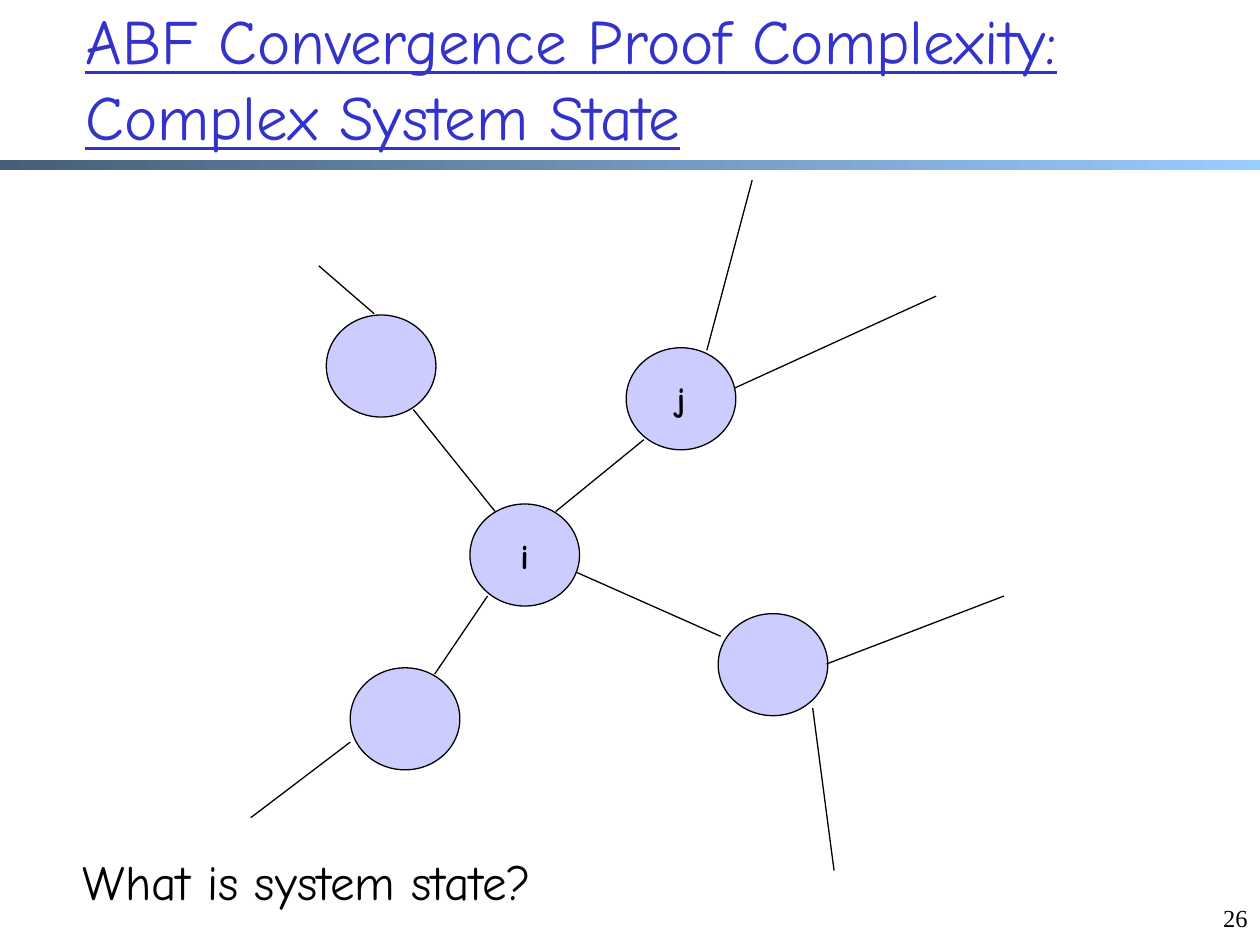
from dataclasses import dataclass

from lxml.etree import SubElement
from pptx import Presentation
from pptx.dml.color import RGBColor as Rgb
from pptx.enum.shapes import MSO_CONNECTOR as Conn, MSO_SHAPE as Shape
from pptx.enum.text import MSO_ANCHOR as Anchor, PP_ALIGN as Align
from pptx.oxml.ns import qn
from pptx.util import Inches, Pt


@dataclass(frozen=True)
class Theme:
    ink: Rgb = Rgb.from_string("000000")
    title: Rgb = Rgb.from_string("3333CC")
    node: Rgb = Rgb.from_string("CCCCFF")
    dark: Rgb = Rgb.from_string("465F77")
    light: Rgb = Rgb.from_string("99CCFF")
    font: str = "Comic Neue"
    serif: str = "Times New Roman"
    head: int = 36
    body: int = 28
    label: int = 20
    small: int = 14
    line: float = 0.75


@dataclass(frozen=True)
class Node:
    left: float
    top: float
    label: str = ""


@dataclass(frozen=True)
class Link:
    x1: float
    y1: float
    x2: float
    y2: float


THEME = Theme()
NODE_W, NODE_H = 0.87, 0.81

NODES = [
    Node(3.73, 4.0, "i"),
    Node(4.97, 2.76, "j"),
    Node(5.7, 4.87),
    Node(2.78, 5.3),
    Node(2.59, 2.5),
]

INNER = [  # from node i to its neighbours
    Link(4.41, 4.06, 5.11, 3.49),
    Link(3.93, 4.06, 3.28, 3.25),
    Link(3.87, 4.73, 3.45, 5.35),
    Link(4.57, 4.54, 5.72, 5.05),
]

OUTER = [  # from the neighbours to the rest of the network
    Link(5.61, 2.78, 5.97, 1.43),
    Link(5.83, 3.08, 7.43, 2.35),
    Link(2.97, 2.49, 2.53, 2.11),
    Link(2.78, 5.89, 1.99, 6.49),
    Link(6.45, 5.62, 6.62, 6.91),
    Link(6.56, 5.27, 7.97, 4.73),
]


def write(shape, text: str, *, size: int, color: Rgb = THEME.ink,
          font: str = THEME.font, bold: bool = False, under: bool = False,
          align: Align = Align.LEFT, anchor: Anchor = Anchor.TOP,
          wrap: bool = True) -> None:
    frame = shape.text_frame
    frame.word_wrap = wrap
    frame.vertical_anchor = anchor
    para = frame.paragraphs[0]
    para.alignment = align
    run = para.add_run()
    run.text = text
    run.font.name = font
    run.font.size = Pt(size)
    run.font.bold = bold
    run.font.underline = under
    run.font.color.rgb = color


def add_box(slide, left: float, top: float, width: float, height: float):
    return slide.shapes.add_textbox(
        Inches(left), Inches(top), Inches(width), Inches(height))


def draw_rule(slide) -> None:
    """Draw the gradient bar under the title."""
    bar = slide.shapes.add_shape(
        Shape.RECTANGLE, 0, Inches(1.27), Inches(10), Inches(0.08))
    bar.shadow.inherit = False
    bar.line.fill.background()
    bar.fill.gradient()
    bar.fill.gradient_angle = 0
    for stop, color in zip(bar.fill.gradient_stops, (THEME.dark, THEME.light)):
        stop.color.rgb = color


def draw_node(slide, node: Node) -> None:
    oval = slide.shapes.add_shape(
        Shape.OVAL, Inches(node.left), Inches(node.top),
        Inches(NODE_W), Inches(NODE_H))
    oval.shadow.inherit = False
    oval.fill.solid()
    oval.fill.fore_color.rgb = THEME.node
    oval.line.color.rgb = THEME.ink
    oval.line.width = Pt(THEME.line)
    if node.label:
        write(oval, node.label, size=THEME.label, bold=True,
              align=Align.CENTER, anchor=Anchor.MIDDLE, wrap=False)


def draw_link(slide, link: Link) -> None:
    line = slide.shapes.add_connector(
        Conn.STRAIGHT, Inches(link.x1), Inches(link.y1),
        Inches(link.x2), Inches(link.y2))
    line.line.color.rgb = THEME.ink
    line.line.width = Pt(THEME.line)
    SubElement(line._element.spPr, qn("a:effectLst"))


def main() -> None:
    deck = Presentation()
    deck.slide_width, deck.slide_height = Inches(10), Inches(7.5)
    slide = deck.slides.add_slide(deck.slide_layouts[6])

    draw_rule(slide)
    write(add_box(slide, 0.58, -0.01, 8.78, 1.25),
          "ABF Convergence Proof Complexity: Complex System State",
          size=THEME.head, color=THEME.title, under=True, anchor=Anchor.MIDDLE)

    for node in NODES:
        draw_node(slide, node)
    for link in INNER + OUTER:
        draw_link(slide, link)

    write(add_box(slide, 0.56, 6.71, 4.36, 0.57),
          "What is system state?", size=THEME.body)
    write(add_box(slide, 9.5, 7.12, 0.5, 0.5), "26",
          size=THEME.small, font=THEME.serif, align=Align.RIGHT)
    deck.save("out.pptx")


if __name__ == "__main__":
    main()
